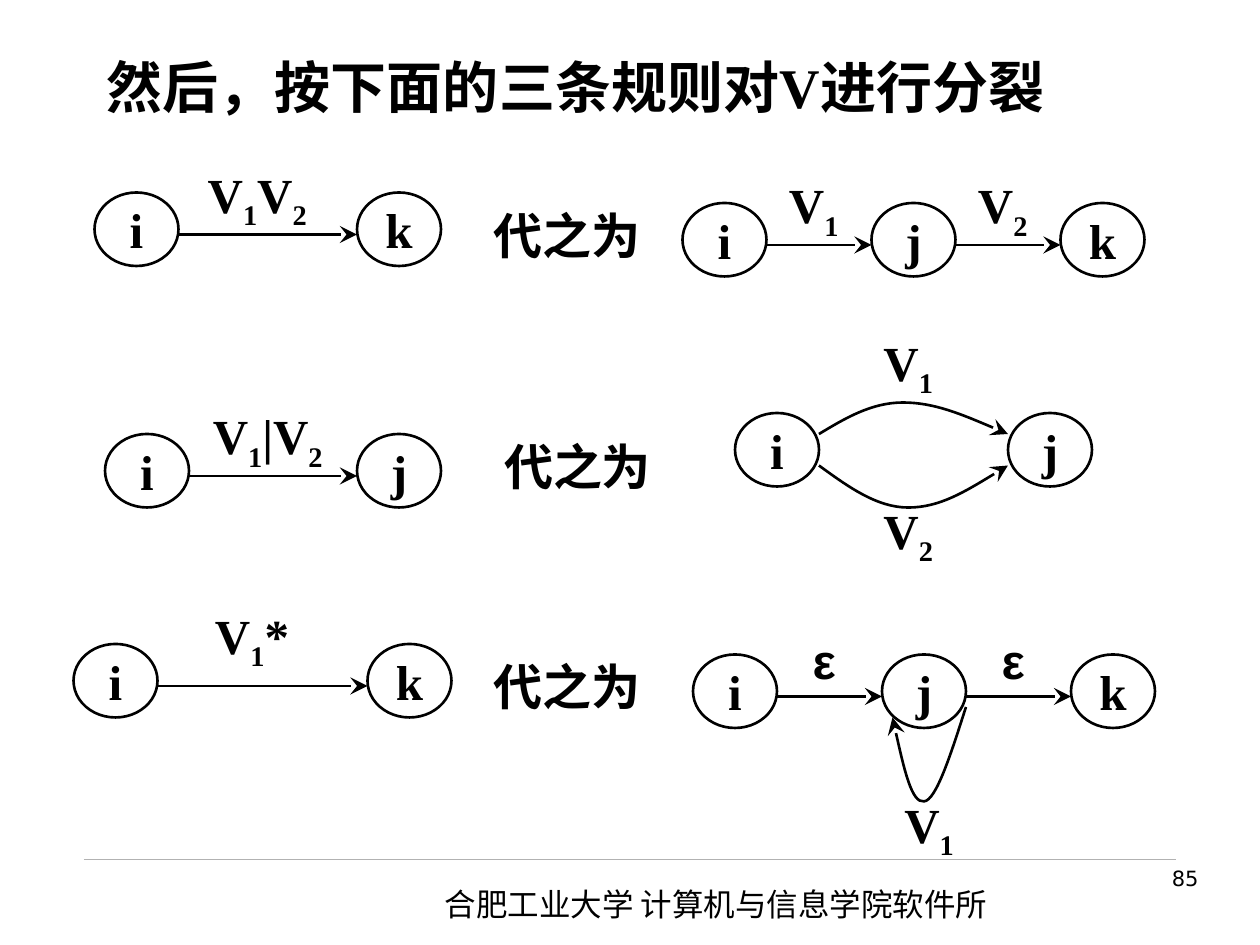
from itertools import groupby

from lxml.etree import SubElement
from pptx import Presentation
from pptx.dml.color import RGBColor
from pptx.enum.shapes import MSO_CONNECTOR, MSO_SHAPE
from pptx.enum.text import MSO_ANCHOR, MSO_AUTO_SIZE, PP_ALIGN
from pptx.oxml.ns import qn
from pptx.util import Pt

ROMAN, SANS, HAN = "Times New Roman", "Arial", "Noto Sans CJK SC"
BLACK, GREY = "000000", "B2B2B2"
WIDE, HIGH = 48, 42  # state ellipse


def write(shape, text, size=28, font=ROMAN, bold=True, align=PP_ALIGN.CENTER,
          anchor=MSO_ANCHOR.MIDDLE, wrap=False, sub=True):
    """Fill a shape with one paragraph; digits become subscripts if sub."""
    frame = shape.text_frame
    frame.word_wrap = wrap
    frame.vertical_anchor = anchor
    if not wrap:
        frame.margin_left = frame.margin_right = 0
    para = frame.paragraphs[0]
    para.alignment = align
    for low, part in groupby(text, lambda c: sub and c.isdigit()):
        run = para.add_run()
        run.text = "".join(part)
        run.font.size = Pt(size)
        run.font.bold = bold
        run.font.name = font
        run.font.color.rgb = RGBColor.from_string(BLACK)
        props = run.font._element
        SubElement(props, qn("a:ea"), typeface=HAN)
        if low:
            props.set("baseline", "-25000")


def ink(shape, width=1.5, color=BLACK, arrow=False):
    """Draw a plain outline, with an arrowhead at its end if asked."""
    shape.line.color.rgb = RGBColor.from_string(color)
    shape.line.width = Pt(width)
    if arrow:
        SubElement(shape.line._get_or_add_ln(), qn("a:tailEnd"),
                   type="stealth", w="lg", len="lg")
    props = shape._element.spPr
    if props.find(qn("a:effectLst")) is None:
        SubElement(props, qn("a:effectLst"))


deck = Presentation()
deck.slide_width, deck.slide_height = Pt(720), Pt(540)
slide = deck.slides.add_slide(deck.slide_layouts[6])
shapes = slide.shapes

# Footer and title
rule = shapes.add_connector(MSO_CONNECTOR.STRAIGHT, Pt(48), Pt(491), Pt(672), Pt(491))
ink(rule, 0.25, GREY)
foot = shapes.add_textbox(Pt(247), Pt(502), Pt(340), Pt(29))
write(foot, "合肥工业大学 计算机与信息学院软件所", 18, HAN, False,
      PP_ALIGN.LEFT, MSO_ANCHOR.TOP, True)
foot.text_frame.auto_size = MSO_AUTO_SIZE.SHAPE_TO_FIT_TEXT
page = shapes.add_textbox(Pt(536), Pt(491), Pt(156), Pt(37.5))
write(page, "85", 12, "DejaVu Sans", False, PP_ALIGN.RIGHT, MSO_ANCHOR.TOP, True, False)
title = shapes.add_textbox(Pt(54), Pt(26.5), Pt(612), Pt(54))
write(title, "然后，按下面的三条规则对V进行分裂", 32,
      align=PP_ALIGN.JUSTIFY, anchor=MSO_ANCHOR.TOP, wrap=True)

# State chains: top, state lefts, state names
chains = [
    (110, (54, 204), "ik"),
    (116, (390, 498, 606), "ijk"),
    (248, (60, 204), "ij"),
    (236, (420, 576), "ij"),
    (368, (42, 210), "ik"),
    (374, (396, 504, 612), "ijk"),
]
for top, lefts, names in chains:
    for left, name in zip(lefts, names):
        state = shapes.add_shape(MSO_SHAPE.OVAL, Pt(left), Pt(top), Pt(WIDE), Pt(HIGH))
        state.shadow.inherit = False
        state.fill.background()
        ink(state)
        write(state, name)
    if top == 236:  # joined by curves instead
        continue
    for left, right in zip(lefts, lefts[1:]):
        edge = shapes.add_connector(MSO_CONNECTOR.STRAIGHT, Pt(left + WIDE),
                                    Pt(top + 24), Pt(right), Pt(top + 24))
        ink(edge, arrow=True)

# Curved edges: start point, then three points for each Bezier piece
curves = [
    [(468, 248), (483, 239), (498, 230), (516, 230),
     (534, 230), (555, 239), (576, 248)],
    [(468, 266), (484.5, 278), (501, 290), (519, 290),
     (537, 290), (556.5, 278), (576, 266)],
    [(552, 404), (543.5, 430.5), (535, 457.5), (528, 458),
     (521, 459), (515.5, 435), (510, 410)],
]
for dots in curves:
    dots = [(Pt(x), Pt(y)) for x, y in dots]
    pen = shapes.build_freeform(*dots[0])
    pen.add_line_segments(dots[1:], close=False)
    curve = pen.convert_to_shape()
    curve.shadow.inherit = False
    curve.fill.background()
    ink(curve, arrow=True)
    # Turn each three straight steps into one cubic piece
    track = curve._element.find(".//" + qn("a:path"))
    steps = track.findall(qn("a:lnTo"))
    for i in range(0, len(steps), 3):
        cubic = SubElement(track, qn("a:cubicBezTo"))
        for step in steps[i:i + 3]:
            cubic.append(step[0])
            track.remove(step)

# Edge labels: left, top, width, text, font
labels = [
    (114, 92, 66, "V1V2", ROMAN),
    (432, 98, 66, "V1", ROMAN),
    (540, 98, 66, "V2", ROMAN),
    (120, 230, 66, "V1|V2", ROMAN),
    (486, 188, 66, "V1", ROMAN),
    (486, 284, 66, "V2", ROMAN),
    (102, 344, 84, "V1*", ROMAN),
    (438, 356, 66, "ε", SANS),
    (546, 356, 66, "ε", SANS),
    (498, 452, 66, "V1", ROMAN),
]
for left, top, width, text, font in labels:
    label = shapes.add_textbox(Pt(left), Pt(top), Pt(width), Pt(42))
    write(label, text, font=font)

# Three glyphs of 28 points need a little more than 84
for left, top in [(279, 110), (285, 242), (279, 368)]:
    swap = shapes.add_textbox(Pt(left), Pt(top), Pt(90), Pt(48))
    write(swap, "代之为")

deck.save("out.pptx")
